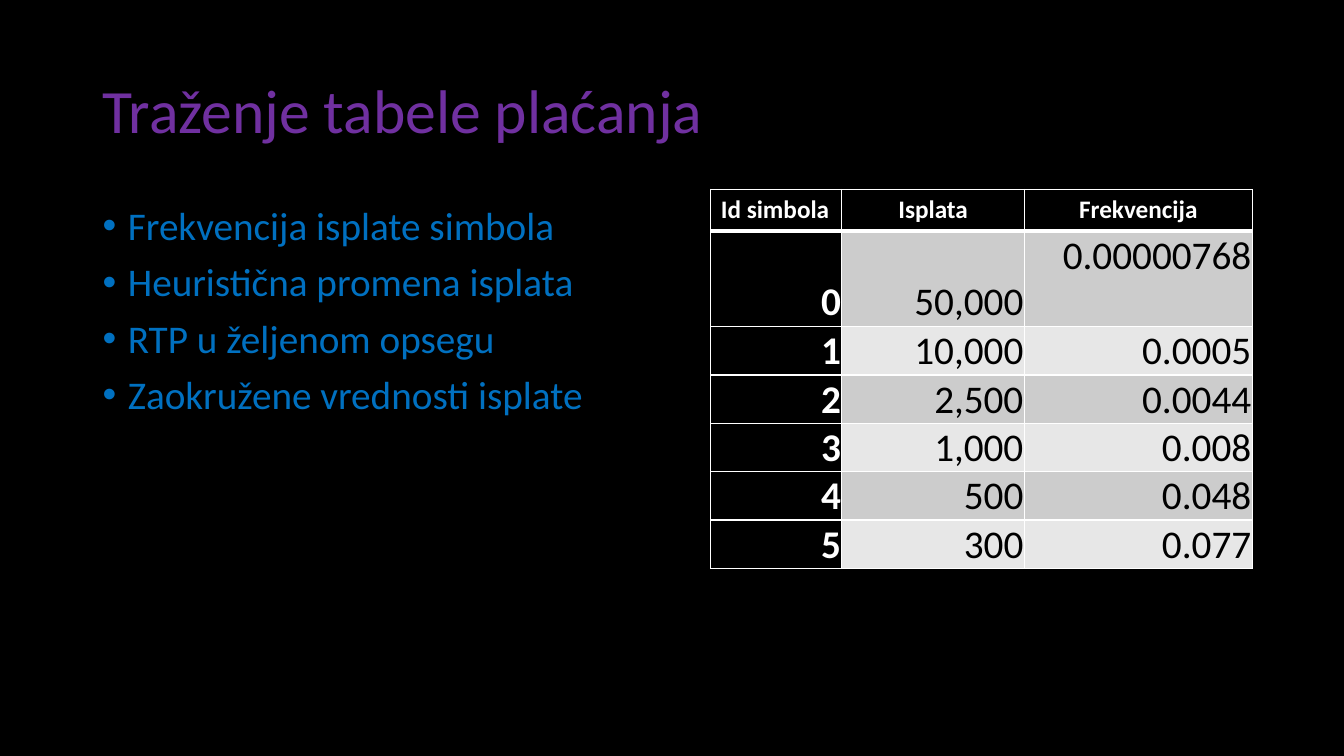
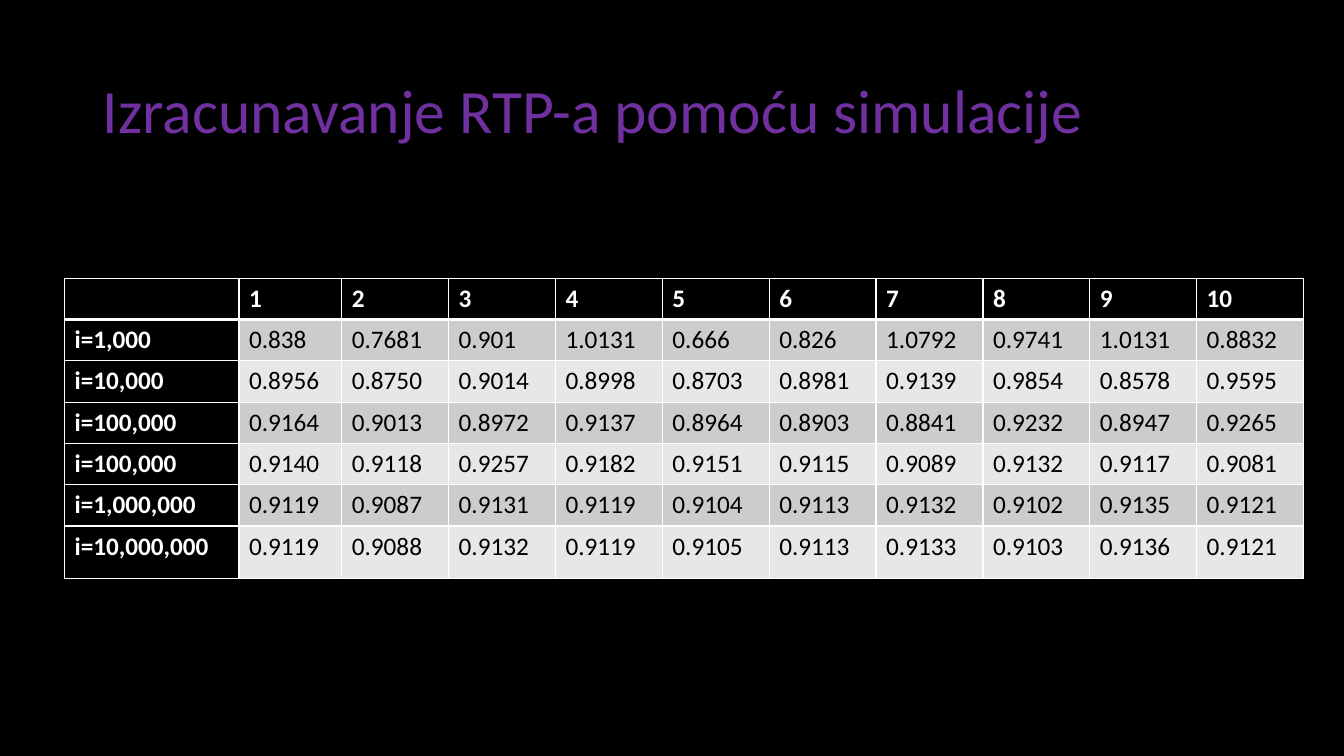
"""Build two dark slides: a payout table and RTP values from simulation."""
from dataclasses import dataclass

from lxml import etree
from pptx import Presentation
from pptx.dml.color import RGBColor
from pptx.enum.text import MSO_ANCHOR, PP_ALIGN
from pptx.oxml.ns import qn
from pptx.util import Inches, Pt

TOP, MIDDLE, BOTTOM = MSO_ANCHOR.TOP, MSO_ANCHOR.MIDDLE, MSO_ANCHOR.BOTTOM
LEFT, CENTER, RIGHT = PP_ALIGN.LEFT, PP_ALIGN.CENTER, PP_ALIGN.RIGHT


@dataclass(frozen=True)
class Theme:
    font: str = "Calibri"
    black: str = "000000"
    white: str = "FFFFFF"
    title: str = "7030A0"
    body: str = "0070C0"
    bands: tuple = ("CCCCCC", "E7E7E7")
    title_size: int = 44
    body_size: int = 28
    table_size: int = 18
    outline: float = 0.75
    rule: float = 1
    header_rule: float = 3


T = Theme()

PAYOUT_TITLE = "Traženje tabele plaćanja"
PAYOUT_POINTS = [
    "Frekvencija isplate simbola",
    "Heuristična promena isplata",
    "RTP u željenom opsegu",
    "Zaokružene vrednosti isplate",
]
PAYOUT_ROWS = [
    ("Id simbola", "Isplata", "Frekvencija"),
    ("0", "50,000", "0.00000768"),
    ("1", "10,000", "0.0005"),
    ("2", "2,500", "0.0044"),
    ("3", "1,000", "0.008"),
    ("4", "500", "0.048"),
    ("5", "300", "0.077"),
]

RTP_TITLE = "Izracunavanje RTP-a pomoću simulacije"
RTP_ROWS = [
    ("", "1", "2", "3", "4", "5", "6", "7", "8", "9", "10"),
    ("i=1,000", "0.838", "0.7681", "0.901", "1.0131", "0.666",
     "0.826", "1.0792", "0.9741", "1.0131", "0.8832"),
    ("i=10,000", "0.8956", "0.8750", "0.9014", "0.8998", "0.8703",
     "0.8981", "0.9139", "0.9854", "0.8578", "0.9595"),
    ("i=100,000", "0.9164", "0.9013", "0.8972", "0.9137", "0.8964",
     "0.8903", "0.8841", "0.9232", "0.8947", "0.9265"),
    ("i=100,000", "0.9140", "0.9118", "0.9257", "0.9182", "0.9151",
     "0.9115", "0.9089", "0.9132", "0.9117", "0.9081"),
    ("i=1,000,000", "0.9119", "0.9087", "0.9131", "0.9119", "0.9104",
     "0.9113", "0.9132", "0.9102", "0.9135", "0.9121"),
    ("i=10,000,000", "0.9119", "0.9088", "0.9132", "0.9119", "0.9105",
     "0.9113", "0.9133", "0.9103", "0.9136", "0.9121"),
]


def make_line(tag, width):
    ln = etree.Element(qn(tag), w=str(Pt(width)))
    fill = etree.SubElement(ln, qn("a:solidFill"))
    etree.SubElement(fill, qn("a:srgbClr"), val=T.white)
    return ln


def add_run(p, text, size, color, bold=False):
    r = p.add_run()
    r.text = text
    r.font.name = T.font
    r.font.size = Pt(size)
    r.font.bold = bold
    r.font.color.rgb = RGBColor.from_string(color)
    return r


def add_text(s, box, lines, size, color, anchor=TOP, bullets=False):
    sp = s.shapes.add_textbox(*map(Inches, box))
    tf = sp.text_frame
    tf.word_wrap = True
    tf.vertical_anchor = anchor
    for i, text in enumerate(lines):
        p = tf.paragraphs[0] if i == 0 else tf.add_paragraph()
        p.line_spacing = 0.9
        if bullets:
            p.space_before = Pt(10)
            ppr = p._p.get_or_add_pPr()
            ppr.set("marL", str(Inches(0.25)))
            ppr.set("indent", str(-Inches(0.25)))
            etree.SubElement(ppr, qn("a:buFont"), typeface="Arial")
            etree.SubElement(ppr, qn("a:buChar"), char="•")
        r = add_run(p, text, size, color)
        r.font._element.insert(0, make_line("a:ln", T.outline))


def add_slide(prs, title):
    s = prs.slides.add_slide(prs.slide_layouts[6])
    s.background.fill.solid()
    s.background.fill.fore_color.rgb = RGBColor.from_string(T.black)
    add_text(s, (0.92, 0.4, 11.5, 1.45), [title], T.title_size, T.title, MIDDLE)
    return s


def style_cell(cell, row, col):
    tcpr = cell._tc.get_or_add_tcPr()
    heavy = {"a:lnT": 1, "a:lnB": 0}
    for tag in ("a:lnL", "a:lnR", "a:lnT", "a:lnB"):
        width = T.header_rule if heavy.get(tag) == row else T.rule
        tcpr.append(make_line(tag, width))
    dark = row == 0 or col == 0
    fill = T.black if dark else T.bands[(row - 1) % 2]
    cell.fill.solid()
    cell.fill.fore_color.rgb = RGBColor.from_string(fill)
    return dark


def add_table(s, left, top, rows, widths, heights, size, head_align=LEFT, tight=False):
    frame = s.shapes.add_table(len(rows), len(widths), Inches(left), Inches(top),
                               Inches(sum(widths)), Inches(sum(heights)))
    table = frame.table
    table.first_row = table.horz_banding = False
    for column, width in zip(table.columns, widths):
        column.width = Inches(width)
    for i, (values, height) in enumerate(zip(rows, heights)):
        table.rows[i].height = Inches(height)
        for j, text in enumerate(values):
            cell = table.cell(i, j)
            dark = style_cell(cell, i, j)
            p = cell.text_frame.paragraphs[0]
            if i == 0:
                p.alignment = head_align if j else LEFT
            elif tight:
                p.alignment = RIGHT
                cell.vertical_anchor = BOTTOM
                cell.margin_left = cell.margin_right = cell.margin_top = Inches(0.01)
                cell.margin_bottom = 0
            if text:
                add_run(p, text, size if i else T.table_size,
                        T.white if dark else T.black, dark)
    return table


def main():
    prs = Presentation()
    prs.slide_width, prs.slide_height = Inches(13.33), Inches(7.5)

    s = add_slide(prs, PAYOUT_TITLE)
    add_text(s, (0.92, 2, 5.75, 4.76), PAYOUT_POINTS, T.body_size, T.body, bullets=True)
    payouts = add_table(s, 7.05, 1.88, PAYOUT_ROWS, [1.3, 1.81, 2.26],
                        [0.41, 0.95] + [0.48] * 5, T.body_size, CENTER, tight=True)
    payouts.cell(1, 2).vertical_anchor = TOP

    s = add_slide(prs, RTP_TITLE)
    add_table(s, 0.64, 2.76, RTP_ROWS, [1.73, 1.02] + [1.06] * 9,
              [0.41] * 6 + [0.52], T.table_size)

    prs.save("out.pptx")


if __name__ == "__main__":
    main()
